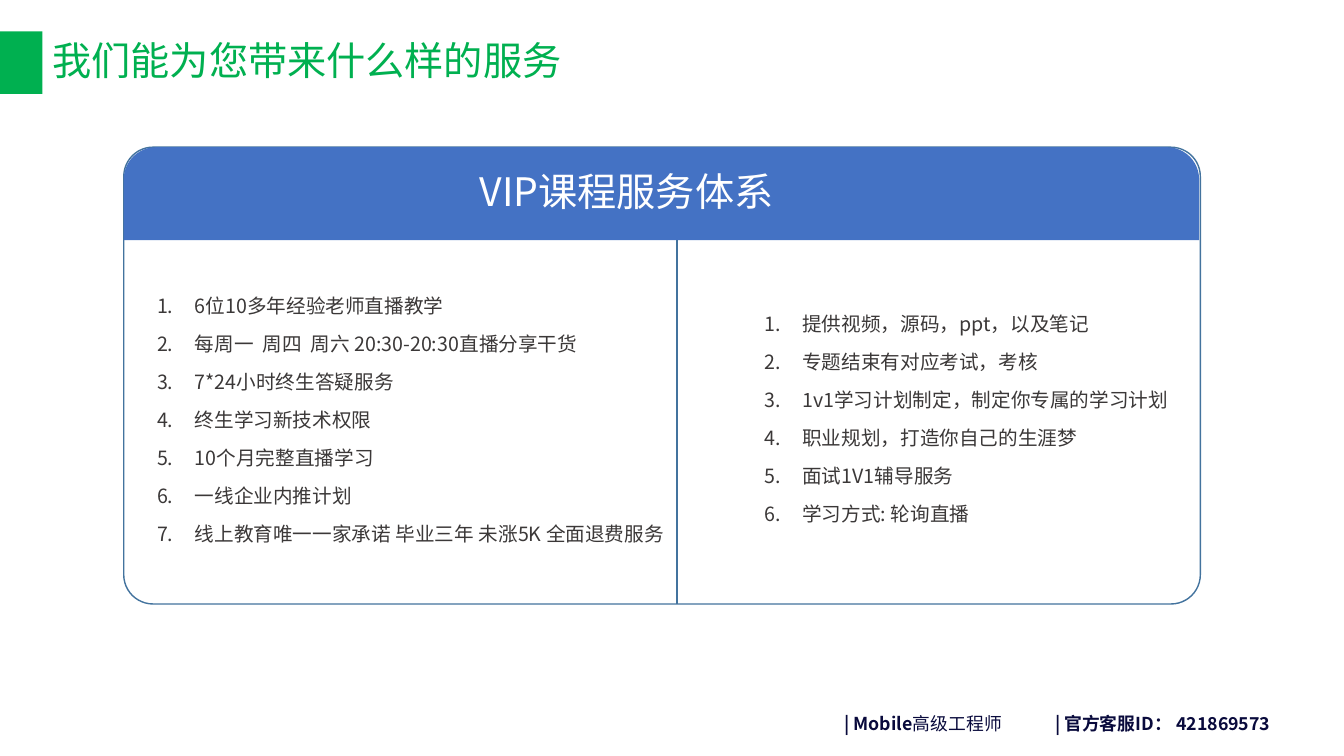
from lxml.etree import SubElement
from pptx import Presentation
from pptx.dml.color import RGBColor
from pptx.enum.shapes import MSO_CONNECTOR as Connector, MSO_SHAPE as Preset
from pptx.enum.text import MSO_ANCHOR as Anchor, PP_ALIGN as Align
from pptx.oxml.ns import qn
from pptx.util import Cm, Pt

COLORS = {
    "green": "00B050",
    "blue": "4472C4",
    "outline": "43739E",
    "white": "FFFFFF",
    "body": "3B3838",
    "footer": "090A3C",
}
FONT = "Noto Sans CJK SC"
NUMBER_INDENT = Cm(0.95)

TEACHING_SERVICES = [
    "6位10多年经验老师直播教学",
    "每周一  周四  周六 20:30-20:30直播分享干货",
    "7*24小时终生答疑服务",
    "终生学习新技术权限",
    "10个月完整直播学习",
    "一线企业内推计划",
    "线上教育唯一一家承诺 毕业三年 未涨5K 全面退费服务",
]
LEARNING_SERVICES = [
    "提供视频，源码，ppt，以及笔记",
    "专题结束有对应考试，考核",
    "1v1学习计划制定，制定你专属的学习计划",
    "职业规划，打造你自己的生涯梦",
    "面试1V1辅导服务",
    "学习方式: 轮询直播",
]


def color(name):
    return RGBColor.from_string(COLORS[name])


class ServiceSlide:
    def __init__(self, presentation):
        self.slide = presentation.slides.add_slide(presentation.slide_layouts[5])
        self.shapes = self.slide.shapes

    def add_run(self, paragraph, text, size, color_name, bold=False):
        run = paragraph.add_run()
        run.text = text
        run.font.name = FONT
        run.font.size = Pt(size)
        run.font.bold = bold
        run.font.color.rgb = color(color_name)
        SubElement(run.font._element, qn("a:ea"), typeface=FONT)

    def set_heading(self, shape, text, color_name):
        frame = shape.text_frame
        frame.word_wrap = True
        frame.vertical_anchor = Anchor.MIDDLE
        paragraph = frame.paragraphs[0]
        paragraph.alignment = Align.LEFT
        paragraph.line_spacing = 0.9
        self.add_run(paragraph, text, 28, color_name)

    def title(self, text, *box):
        title = self.shapes.title
        title.left, title.top, title.width, title.height = map(Cm, box)
        self.set_heading(title, text, "green")

    def heading(self, text, *box):
        self.set_heading(self.shapes.add_textbox(*map(Cm, box)), text, "white")

    def block(self, preset, *box, fill=None, line=None, corners=()):
        shape = self.shapes.add_shape(preset, *map(Cm, box))
        shape.shadow.inherit = False
        for index, corner in enumerate(corners):
            shape.adjustments[index] = corner
        if fill:
            shape.fill.solid()
            shape.fill.fore_color.rgb = color(fill)
        else:
            shape.fill.background()
        if line:
            shape.line.color.rgb = color(line)
            shape.line.width = Pt(1)
        else:
            shape.line.fill.background()

    def divider(self, *ends):
        connector = self.shapes.add_connector(Connector.STRAIGHT, *map(Cm, ends))
        connector.line.color.rgb = color("outline")
        connector.line.width = Pt(1.75)
        SubElement(connector._element.spPr, qn("a:effectLst"))

    def numbered_list(self, items, *box):
        frame = self.shapes.add_textbox(*map(Cm, box)).text_frame
        frame.word_wrap = True
        frame.vertical_anchor = Anchor.MIDDLE
        for index, item in enumerate(items):
            paragraph = frame.add_paragraph() if index else frame.paragraphs[0]
            paragraph.line_spacing = 0.9
            paragraph.space_before = Pt(12 if index else 0)
            properties = paragraph._p.get_or_add_pPr()
            properties.set("marL", str(NUMBER_INDENT))
            properties.set("indent", str(-NUMBER_INDENT))
            SubElement(properties, qn("a:buFont"), typeface=FONT)
            SubElement(properties, qn("a:buAutoNum"), type="arabicPeriod")
            self.add_run(paragraph, item, 14, "body")

    def footer(self, parts, *box, wrap=True):
        """Write (text, bold) parts on one line."""
        frame = self.shapes.add_textbox(*map(Cm, box)).text_frame
        frame.word_wrap = wrap
        for text, bold in parts:
            self.add_run(frame.paragraphs[0], text, 12.7, "footer", bold)


def main():
    presentation = Presentation()
    presentation.slide_width, presentation.slide_height = Cm(33.87), Cm(19.05)
    page = ServiceSlide(presentation)

    page.block(Preset.RECTANGLE, 0, 0.79, 1.07, 1.58, fill="green")
    page.title("我们能为您带来什么样的服务", 1.07, 0.76, 31.75, 1.63)
    page.footer([("| Mobile", True), ("高级工程师", False)], 21.03, 17.83, 6.07, 0.79)
    page.footer([("| 官方客服ID： 421869573", True)], 26.34, 17.83, 7.16, 0.79, wrap=False)

    page.block(Preset.ROUNDED_RECTANGLE, 3.12, 3.71, 27.13, 11.51,
               line="outline", corners=[0.064])
    page.block(Preset.ROUND_2_SAME_RECTANGLE, 3.12, 3.71, 27.1, 2.34,
               fill="blue", corners=[0.345, 0])
    page.heading("VIP课程服务体系", 11.84, 4.06, 15.88, 1.63)
    page.numbered_list(TEACHING_SERVICES, 3.71, 6.4, 15.88, 8.43)
    page.numbered_list(LEARNING_SERVICES, 19.02, 6.38, 15.88, 8.43)
    page.divider(17.06, 6.05, 17.06, 15.22)

    presentation.save("out.pptx")


if __name__ == "__main__":
    main()
